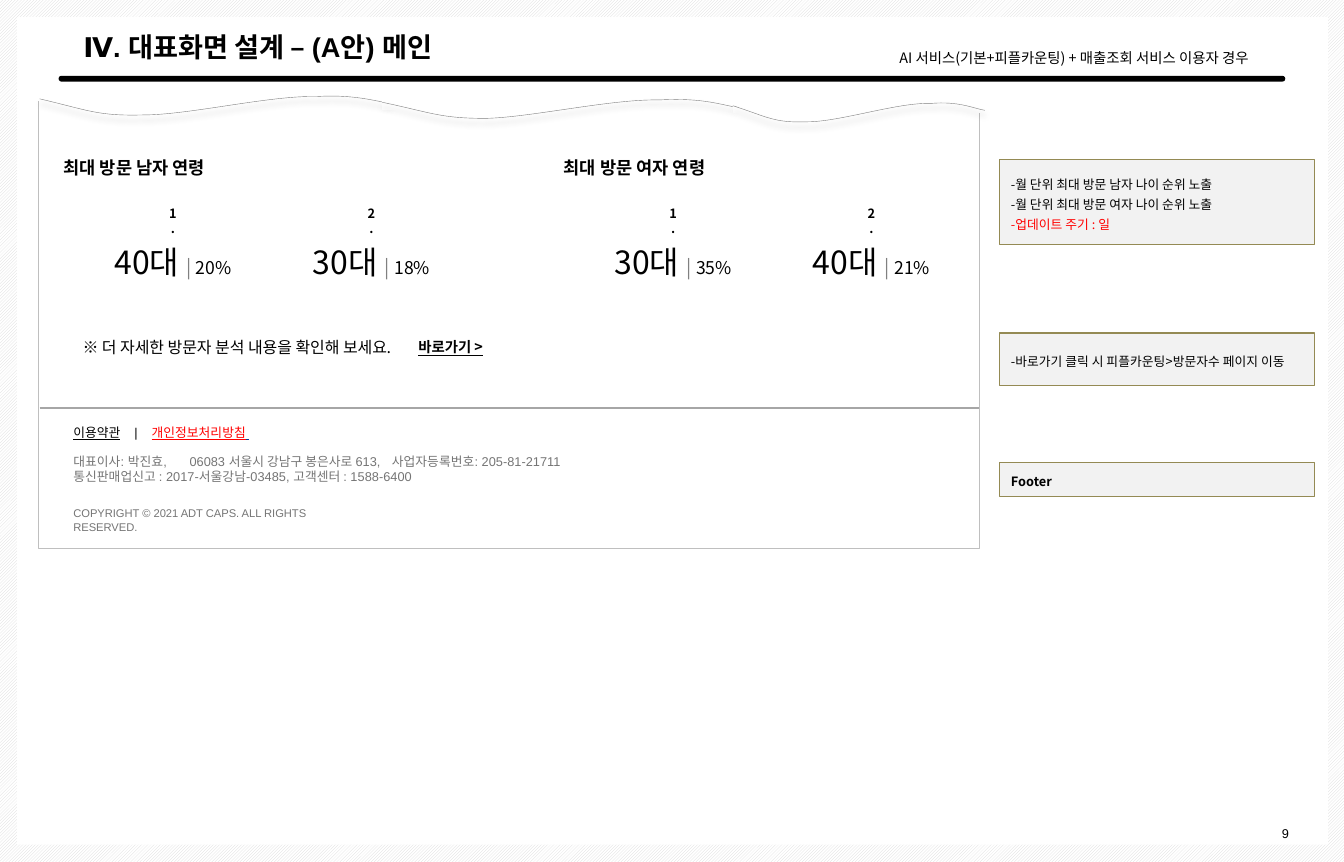
from lxml import etree
from pptx import Presentation
from pptx.dml.color import RGBColor
from pptx.enum.dml import MSO_PATTERN
from pptx.enum.shapes import MSO_CONNECTOR, MSO_SHAPE
from pptx.enum.text import MSO_ANCHOR, PP_ALIGN
from pptx.oxml.ns import qn
from pptx.util import Inches, Pt

RECTANGLE, ROUNDED = MSO_SHAPE.RECTANGLE, MSO_SHAPE.ROUNDED_RECTANGLE
STRAIGHT = MSO_CONNECTOR.STRAIGHT
HATCH = MSO_PATTERN.LIGHT_UPWARD_DIAGONAL
TOP, MIDDLE = MSO_ANCHOR.TOP, MSO_ANCHOR.MIDDLE
LEFT, CENTER, RIGHT = PP_ALIGN.LEFT, PP_ALIGN.CENTER, PP_ALIGN.RIGHT
COLUMNS, ROWS = 116.9, 75
CELL = Inches(0.1)
SANS, ARIAL = "Noto Sans CJK KR", "Arial"
COLORS = {
    "black": "000000", "white": "FFFFFF", "hatch": "D9D9D9", "frame": "BFBFBF",
    "divider": "A6A6A6", "gray": "808080", "footer": "757575", "red": "FF0000",
    "blue": "073F94", "note": "F2F2F2", "olive": "948A54",
}
PLAIN = {"name": SANS, "size": Pt(8), "bold": False, "underline": False, "color": "black"}


def grid(*lengths):
    return [round(length * CELL) for length in lengths]


def color(name):
    return RGBColor.from_string(COLORS[name])


def set_line(shape, name, width):
    if name:
        shape.line.color.rgb = color(name)
        shape.line.width = Pt(width)
    else:
        shape.line.fill.background()


def add_panel(slide, box, fill=None, line=None, width=0.25, preset=RECTANGLE):
    shape = slide.shapes.add_shape(preset, *grid(*box))
    shape.shadow.inherit = False
    if fill:
        shape.fill.solid()
        shape.fill.fore_color.rgb = color(fill)
    else:
        shape.fill.background()
    set_line(shape, line, width)
    return shape


def write(frame, paragraphs, align=LEFT, anchor=TOP, spacing=1.0, tabs=(), **style):
    frame.word_wrap = True
    frame.vertical_anchor = anchor
    for index, runs in enumerate(paragraphs):
        paragraph = frame.add_paragraph() if index else frame.paragraphs[0]
        paragraph.alignment = align
        paragraph.line_spacing = spacing
        if tabs:
            tab_list = etree.SubElement(paragraph._p.get_or_add_pPr(), qn("a:tabLst"))
            for stop in grid(*tabs):
                etree.SubElement(tab_list, qn("a:tab"), pos=str(stop), algn="l")
        for text, changes in [(runs, {})] if isinstance(runs, str) else runs:
            run = paragraph.add_run()
            run.text = text
            values = {**PLAIN, **style, **changes}
            run.font.color.rgb = color(values.pop("color"))
            for attribute, value in values.items():
                setattr(run.font, attribute, value)
            properties = run._r.get_or_add_rPr()
            properties.set("kern", "0")
            etree.SubElement(properties, qn("a:ea"), typeface=SANS)


def add_text(slide, box, paragraphs, **style):
    write(slide.shapes.add_textbox(*grid(*box)).text_frame, paragraphs, **style)


def add_backdrop(slide, box):
    left, top, width, height = box
    hatch = add_panel(slide, box, "white")
    hatch.fill.patterned()
    hatch.fill.pattern = HATCH
    hatch.fill.fore_color.rgb = color("hatch")
    hatch.fill.back_color.rgb = color("white")
    add_panel(slide, (left + 1.5, top + 1.5, width - 2.9, height - 3), "white")
    add_text(slide, (left + width - 8.7, top + height - 3.65, 4.9, 2.4), ["9"],
             align=RIGHT, name=ARIAL)


def add_header(slide, box):
    left, top, width, height = box
    bar = add_panel(slide, (left, top + height - 0.5, width, 0.5), "black", preset=ROUNDED)
    bar.adjustments[0] = 0.5
    title = slide.shapes.title
    places = grid(left + 1.15, top, 104.4, 3.9)
    for attribute, value in zip(("left", "top", "width", "height"), places):
        setattr(title, attribute, value)
    write(title.text_frame, ["Ⅳ. 대표화면 설계 – (A안) 메인"], anchor=MIDDLE,
          name=ARIAL, size=Pt(17), bold=True)
    slide.shapes.element.append(title._element)
    add_text(slide, (left + 72.15, top + 1.7, 37.2, 2.5),
             ["AI 서비스(기본+피플카운팅) + 매출조회 서비스 이용자 경우"], size=Pt(9))


def round_corners(shape):
    outline = shape._element.find(".//" + qn("a:path"))
    segments = outline.findall(qn("a:lnTo"))
    for first in range(0, len(segments), 3):
        curve = etree.SubElement(outline, qn("a:cubicBezTo"))
        for segment in segments[first:first + 3]:
            curve.append(segment[0])
            outline.remove(segment)


def add_shadow(shape):
    effects = etree.SubElement(shape._element.spPr, qn("a:effectLst"))
    shadow = etree.SubElement(effects, qn("a:outerShdw"), blurRad=str(Pt(4)),
                              dist=str(Pt(3)), dir="5400000", rotWithShape="0")
    black = etree.SubElement(shadow, qn("a:srgbClr"), val=COLORS["black"])
    etree.SubElement(black, qn("a:alpha"), val="60000")


def add_wave(slide, box, heights):
    left, top, width, height = box
    add_panel(slide, box, "white", "white")
    shares = (0, 0.14, 0.164, 0.295, 0.426, 0.653, 0.787, 0.897, 0.951, 1)
    points = [grid(left + share * width, top + level) for share, level in zip(shares, heights)]
    builder = slide.shapes.build_freeform(*points[0])
    builder.add_line_segments(points[1:], close=False)
    wave = builder.convert_to_shape()
    round_corners(wave)
    wave.fill.background()
    set_line(wave, "gray", 0.25)
    add_shadow(wave)


def add_torn_edge(slide, left, top):
    add_wave(slide, (left, top + 0.3, 30.6, 1.6), (0.9, 1.9, 2.4, 2.3, 2.3, 0.6, 0.7, 0.5, 1.1, 1.3))
    add_wave(slide, (left + 29.8, top + 0.1, 30.6, 2), (1.4, 2.3, 2.8, 2.8, 2.7, 1.1, 1.2, 1, 1.5, 1.8))
    add_wave(slide, (left + 60.3, top, 21.9, 2.4), (1.8, 2.8, 3.3, 3.2, 3.2, 1.5, 1.6, 1.4, 2, 2.2))


def add_visitor_ages(slide, left, top, heading, ages):
    add_text(slide, (left, top, 22.7, 2.9), [heading], size=Pt(11), bold=True)
    for index, (age, share) in enumerate(ages):
        middle = left + 10.5 + index * 17.25
        add_text(slide, (middle - 1.4, top + 4.2, 2.8, 2.4), [f"{index + 1}."],
                 align=CENTER, bold=True)
        age_line = [(f"{age} ", {"size": Pt(20)}), ("| ", {"size": Pt(12), "color": "gray"}),
                    (share, {"size": Pt(11)})]
        add_text(slide, (middle - 6.4, top + 7.4, 12.8, 4.4), [age_line], align=CENTER)


def add_footer(slide, left, top, width):
    divider = slide.shapes.add_connector(STRAIGHT, *grid(left, top, left + width, top))
    set_line(divider, "divider", 0.75)
    etree.SubElement(divider._element.spPr, qn("a:effectLst"))
    text_left = left + 1.95
    links = [("이용약관", {"underline": True}), ("\t|\t", {}),
             ("개인정보처리방침", {"underline": True, "color": "red"}),
             (" ", {"underline": True, "color": "blue"})]
    add_text(slide, (text_left, top + 0.6, 29.6, 2.6), [links], name=ARIAL,
             spacing=1.3, tabs=(5.3, 6.8))
    add_text(slide, (text_left, top + 3.5, 63.8, 3.7),
             ["대표이사: 박진효,\t06083 서울시 강남구 봉은사로 613,\t사업자등록번호: 205-81-21711",
              "통신판매업신고 : 2017-서울강남-03485, 고객센터 : 1588-6400"],
             name=ARIAL, color="footer", tabs=(10.1, 27.7))
    add_text(slide, (text_left, top + 8.1, 27, 2.2),
             ["COPYRIGHT © 2021 ADT CAPS. ALL RIGHTS RESERVED."],
             name=ARIAL, size=Pt(7), color="footer")


def add_screen(slide, box):
    left, top, width, height = box
    add_panel(slide, box, line="frame")
    add_torn_edge(slide, left + 0.1, top - 1.45)
    sections = (("최대 방문 남자 연령", (("40대", "20%"), ("30대", "18%"))),
                ("최대 방문 여자 연령", (("30대", "35%"), ("40대", "21%"))))
    for index, (heading, ages) in enumerate(sections):
        add_visitor_ages(slide, left + 1.2 + index * 43.5, top + 4.35, heading, ages)
    add_text(slide, (left + 1.2, top + 20.05, 32.1, 2.7),
             ["※ 더 자세한 방문자 분석 내용을 확인해 보세요."], align=CENTER, size=Pt(10))
    add_text(slide, (left + 32.05, top + 20.1, 15.2, 2.5), ["바로가기 >"],
             size=Pt(9), bold=True, underline=True)
    add_footer(slide, left + 0.1, top + height - 12.2, width - 0.1)


def add_notes_column(slide, left, top, width):
    notes = (
        (0, 7.4, ["-월 단위 최대 방문 남자 나이 순위 노출", "-월 단위 최대 방문 여자 나이 순위 노출",
                  [("-업데이트 주기 : 일", {"color": "red"})]]),
        (15.1, 4.55, ["-바로가기 클릭 시 피플카운팅>방문자수 페이지 이동"]),
        (26.35, 3, [[("Footer", {"bold": True})]]),
    )
    for offset, height, lines in notes:
        note = add_panel(slide, (left, top + offset, width, height), "note", "olive", 0.75)
        write(note.text_frame, lines, anchor=MIDDLE, spacing=1.3)


def main():
    presentation = Presentation()
    presentation.slide_width, presentation.slide_height = grid(COLUMNS, ROWS)
    slide = presentation.slides.add_slide(presentation.slide_layouts[5])
    add_backdrop(slide, (0, 0, COLUMNS, ROWS))
    add_screen(slide, (3.35, 8.85, 81.8, 38.85))
    add_notes_column(slide, 86.95, 13.88, 27.4)
    add_header(slide, (5.1, 2.1, 106.7, 5))
    presentation.save("out.pptx")


if __name__ == "__main__":
    main()
